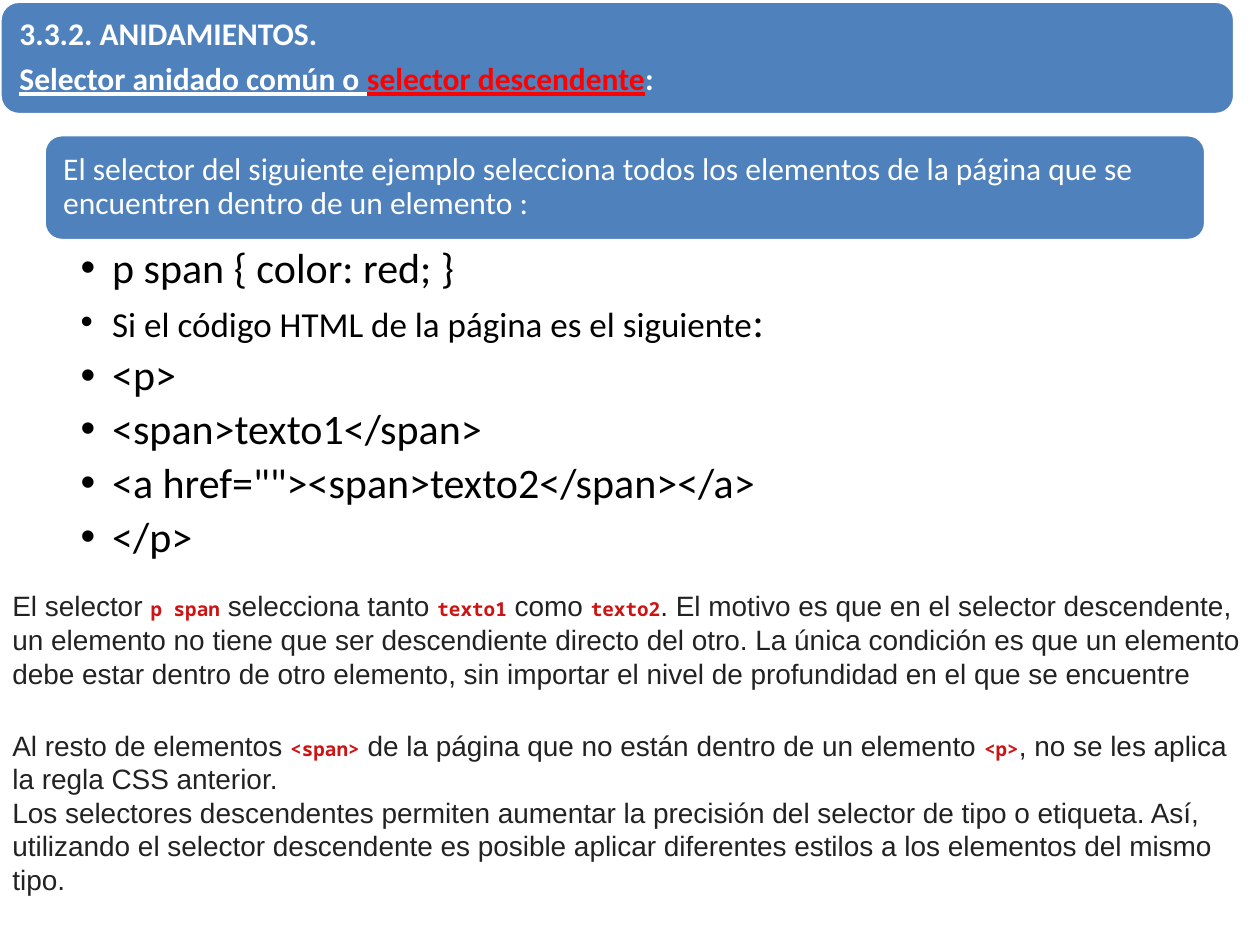
from lxml import etree
from pptx import Presentation
from pptx.dml.color import RGBColor
from pptx.enum import shapes, text
from pptx.oxml.ns import qn
from pptx.util import Pt

HEADING = dict(name="Calibri", size=18, color="FFFFFF", bold=True)
UNDERLINED = dict(HEADING, underline=True)
ACCENT = dict(UNDERLINED, color="FF0000")
INTRO = dict(HEADING, bold=False)
BULLET = dict(name="Calibri", size=24, color="000000")
SMALL_BULLET = dict(BULLET, size=20)
PROSE = dict(name="Arial", size=16, color="222222")
CODE = dict(name="Noto Sans Mono", size=11, color="CC1414", bold=True)

title = [
    [("3.3.2. ANIDAMIENTOS.", HEADING)],
    [("Selector anidado común o ", UNDERLINED), ("selector descendente", ACCENT), (":", HEADING)],
]
intro = [[("El selector del siguiente ejemplo selecciona todos los elementos de la página "
           "que se encuentren dentro de un elemento :", INTRO)]]
example = [
    [("p span { color: red; }", BULLET)],
    [("Si el código HTML de la página es el siguiente", SMALL_BULLET), (":", BULLET)],
    [("<p>", BULLET)],
    [("<span>texto1</span>", BULLET)],
    [('<a href=""><span>texto2</span></a>', BULLET)],
    [("</p>", BULLET)],
]
reason = [[
    ("El selector ", PROSE), ("p span", CODE), (" selecciona tanto ", PROSE),
    ("texto1", CODE), (" como ", PROSE), ("texto2", CODE),
    (". El motivo es que en el selector descendente, un elemento no tiene que ser "
     "descendiente directo del otro. La única condición es que un elemento debe estar "
     "dentro de otro elemento, sin importar el nivel de profundidad en el que se encuentre", PROSE),
]]
conclusion = [
    [("Al resto de elementos ", PROSE), ("<span>", CODE),
     (" de la página que no están dentro de un elemento ", PROSE), ("<p>", CODE),
     (", no se les aplica la regla CSS anterior.", PROSE)],
    [("Los selectores descendentes permiten aumentar la precisión del selector de tipo o "
      "etiqueta. Así, utilizando el selector descendente es posible aplicar diferentes "
      "estilos a los elementos del mismo tipo.", PROSE)],
]

banners = [
    (title, (0, 0.7, 705.6, 64.8)),
    (intro, (25.2, 77, 663.8, 60.5)),
]
explanations = [
    (reason, (0, 332.6, 720, 65.5)),
    (conclusion, (0, 411.8, 720, 104.4)),
]
example_place = (25.2, 139, 663.8, 193)


def rgb(value):
    return RGBColor.from_string(value)


def set_font(font, name, size, color, bold=False, underline=False):
    font.name = name
    font.size = Pt(size)
    font.color.rgb = rgb(color)
    font.bold = bold
    font.underline = underline


def add_bullet(paragraph):
    paragraph.level = 1
    props = paragraph._p.get_or_add_pPr()
    props.set("marL", str(Pt(18)))
    props.set("indent", str(-Pt(18)))
    etree.SubElement(props, qn("a:buFont")).set("typeface", "Arial")
    etree.SubElement(props, qn("a:buChar")).set("char", "•")


def write(shape, paragraphs, insets, anchor, spacing=1, after=0, bulleted=False):
    frame = shape.text_frame
    frame.word_wrap = True
    frame.vertical_anchor = anchor
    frame.margin_left, frame.margin_top, frame.margin_right, frame.margin_bottom = map(Pt, insets)
    for index, parts in enumerate(paragraphs):
        paragraph = frame.add_paragraph() if index else frame.paragraphs[0]
        paragraph.alignment = text.PP_ALIGN.LEFT
        if bulleted:
            add_bullet(paragraph)
        paragraph.line_spacing = spacing
        paragraph.space_after = Pt(after)
        for wording, style in parts:
            run = paragraph.add_run()
            run.text = wording
            if len(parts) > 1:
                set_font(run.font, **style)
        if len(parts) == 1:
            set_font(paragraph.font, **parts[0][1])


def add_panel(slide, kind, place, fill):
    panel = slide.shapes.add_shape(kind, *map(Pt, place))
    panel.shadow.inherit = False
    panel.fill.solid()
    panel.fill.fore_color.rgb = rgb(fill)
    panel.line.fill.background()
    return panel


def main():
    deck = Presentation()
    deck.slide_width, deck.slide_height = Pt(720), Pt(540)
    slide = deck.slides.add_slide(deck.slide_layouts[6])
    middle = text.MSO_ANCHOR.MIDDLE

    for wording, place in banners:
        banner = add_panel(slide, shapes.MSO_SHAPE.ROUNDED_RECTANGLE, place, "4F81BD")
        banner.line.color.rgb = rgb("FFFFFF")
        banner.line.width = Pt(2)
        write(banner, wording, (8, 8, 8, 8), middle, 0.9, 6.3)

    example_box = slide.shapes.add_textbox(*map(Pt, example_place))
    write(example_box, example, (20.9, 2.2, 13.7, 2.2), text.MSO_ANCHOR.TOP, 0.9, 4.8, True)

    for wording, place in explanations:
        explanation = add_panel(slide, shapes.MSO_SHAPE.RECTANGLE, place, "FFFFFF")
        write(explanation, wording, (7.2, 3.6, 7.2, 3.6), middle)

    deck.save("out.pptx")


if __name__ == "__main__":
    main()
